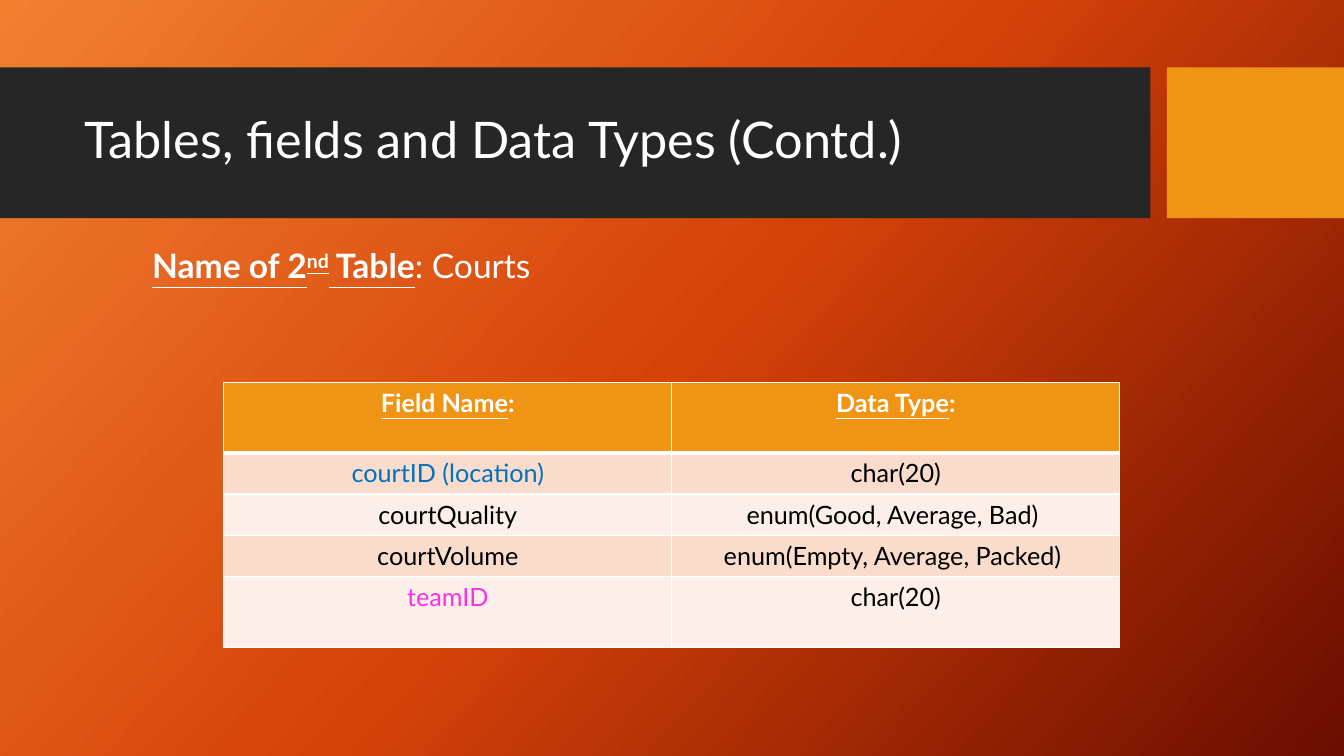
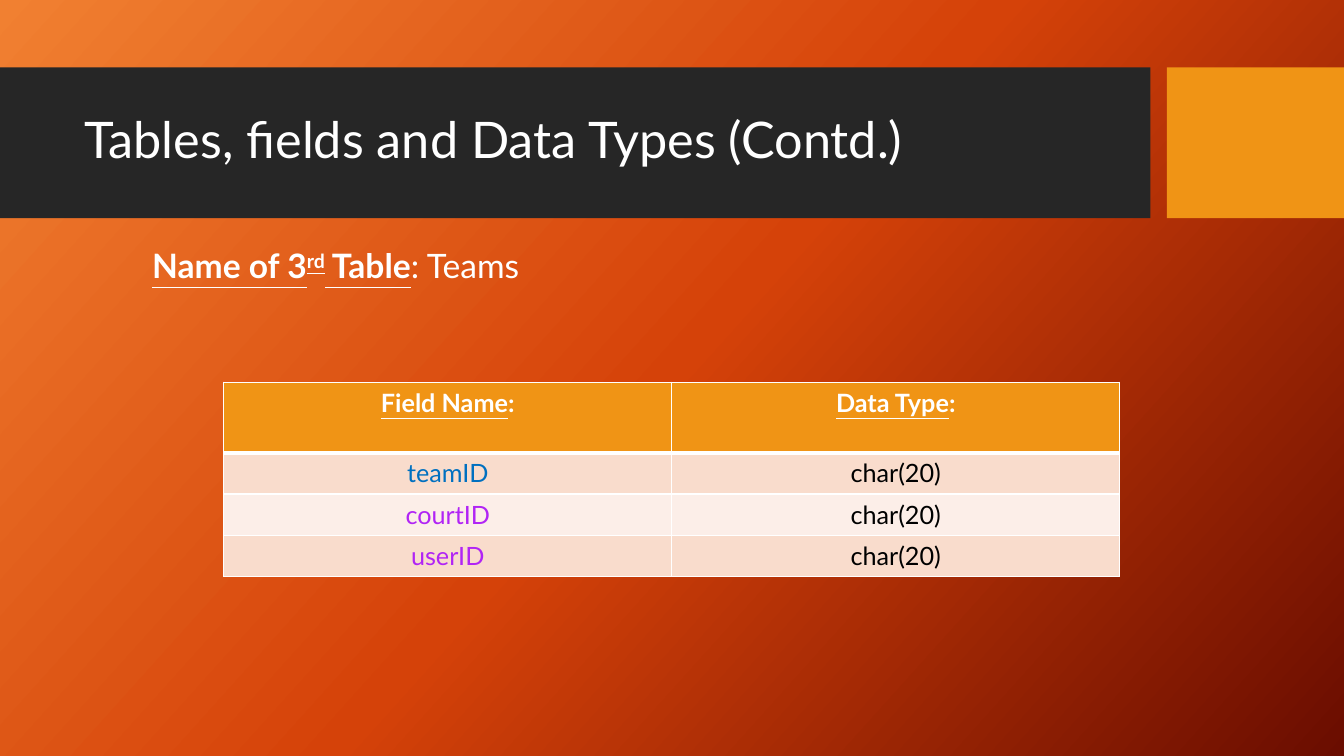
from collections import namedtuple
from copy import deepcopy

from lxml.etree import SubElement
from pptx import Presentation
from pptx.dml.color import RGBColor
from pptx.enum.shapes import MSO_SHAPE
from pptx.enum.text import MSO_ANCHOR, PP_ALIGN
from pptx.oxml.ns import qn
from pptx.util import Cm, Pt

WHITE = RGBColor(0xFF, 0xFF, 0xFF)
BLACK = RGBColor(0x00, 0x00, 0x00)
CHARCOAL = RGBColor(0x26, 0x26, 0x26)
AMBER = RGBColor(0xF0, 0x94, 0x15)
BAND_FILLS = (RGBColor(0xF9, 0xDC, 0xCC), RGBColor(0xFC, 0xEE, 0xE8))
KEY_BLUE = RGBColor(0x00, 0x70, 0xC0)
LINK_PINK = RGBColor(0xFB, 0x31, 0xE6)
LINK_PURPLE = RGBColor(0xB1, 0x24, 0xF5)
BACKGROUND_STOPS = (
    (0, RGBColor(0xF1, 0x80, 0x31)),
    (0.5, RGBColor(0xD5, 0x42, 0x09)),
    (1, RGBColor(0x6A, 0x0D, 0x00)),
)
FONT = "Lato"
TITLE = "Tables, fields and Data Types (Contd.)"

Box = namedtuple("Box", "left top width height")
HEADER_BOX = Box(Cm(0), Cm(1.7), Cm(33.87), Cm(3.8))
CAPTION_BOX = Box(Cm(3.58), Cm(6.17), Cm(26.7), Cm(2.18))
TABLE_BOX = Box(Cm(5.64), Cm(9.63), Cm(22.58), Cm(6.68))
ROW_HEIGHT = Cm(1.04)
TALL_ROW_HEIGHT = Cm(1.78)

TABLES = (
    {
        "number": "2", "ordinal": "nd", "name": "Courts", "tall_last_row": True,
        "fields": (
            ("courtID (location)", KEY_BLUE, "char(20)"),
            ("courtQuality", BLACK, "enum(Good, Average, Bad) "),
            ("courtVolume", BLACK, "enum(Empty, Average, Packed) "),
            ("teamID", LINK_PINK, "char(20)"),
        ),
    },
    {
        "number": "3", "ordinal": "rd", "name": "Teams", "tall_last_row": False,
        "fields": (
            ("teamID", KEY_BLUE, "char(20)"),
            ("courtID", LINK_PURPLE, "char(20)"),
            ("userID", LINK_PURPLE, "char(20)"),
        ),
    },
)


def add_text(paragraph, text, size=18, color=WHITE, bold=False, underline=False, raised=False):
    """Append one formatted run to a paragraph."""
    run = paragraph.add_run()
    run.text = text
    font = run.font
    font.name, font.size, font.bold, font.underline = FONT, Pt(size), bold, underline
    font.color.rgb = color
    if raised:
        run._r.get_or_add_rPr().set("baseline", "30000")


def place(shape, box):
    """Move a shape into a box."""
    shape.left, shape.top, shape.width, shape.height = box


def paint_background(layout):
    """Give the layout its diagonal three-colour gradient."""
    fill = layout.background.fill
    fill.gradient()
    fill.gradient_angle = 318
    stop_list = layout.element.find(".//" + qn("a:gsLst"))
    stop_list.append(deepcopy(stop_list[-1]))
    for stop, (position, color) in zip(fill.gradient_stops, BACKGROUND_STOPS):
        stop.position = position
        stop.color.rgb = color


def add_header_bands(slide, box):
    """Draw the title band and accent block, and move them to the layout."""
    accent_width, gap = Cm(4.46), Cm(0.42)
    band_width = box.width - accent_width - gap
    bands = (
        (box.left, band_width, CHARCOAL),
        (box.left + band_width + gap, accent_width, AMBER),
    )
    layout_tree = slide.slide_layout.shapes.element
    for left, width, color in bands:
        band = slide.shapes.add_shape(MSO_SHAPE.RECTANGLE, left, box.top, width, box.height)
        band.shadow.inherit = False
        band.fill.solid()
        band.fill.fore_color.rgb = color
        band.line.fill.background()
        layout_tree.insert(2, band.element)


def fill_title(slide, box):
    """Write the title inside the header band."""
    title = slide.shapes.title
    place(title, Box(box.left + Cm(1.88), box.top + Cm(0.38), Cm(26.7), Cm(3)))
    title.text_frame.vertical_anchor = MSO_ANCHOR.MIDDLE
    paragraph = title.text_frame.paragraphs[0]
    paragraph.alignment = PP_ALIGN.LEFT
    paragraph.line_spacing = 0.9
    add_text(paragraph, TITLE, size=36)


def fill_caption(slide, box, number, ordinal, name):
    """Write which table the slide describes."""
    caption = slide.placeholders[1]
    place(caption, box)
    paragraph = caption.text_frame.paragraphs[0]
    paragraph.line_spacing = 0.9
    paragraph.space_before = Pt(10)
    properties = paragraph._p.get_or_add_pPr()
    properties.set("marL", "0")
    properties.set("indent", "0")
    SubElement(properties, qn("a:buNone"))
    heading = {"size": 24, "bold": True, "underline": True}
    add_text(paragraph, f"Name of {number}", **heading)
    add_text(paragraph, ordinal, raised=True, **heading)
    add_text(paragraph, " Table", **heading)
    add_text(paragraph, f": {name}", size=24)


def format_cell(cell, color, top_width=1, bottom_width=1):
    """Set a cell's white borders, fill and centring."""
    properties = cell._tc.get_or_add_tcPr()
    for side, width in (("L", 1), ("R", 1), ("T", top_width), ("B", bottom_width)):
        line = SubElement(properties, qn(f"a:ln{side}"), w=str(Pt(width)))
        line_fill = SubElement(line, qn("a:solidFill"))
        SubElement(line_fill, qn("a:srgbClr"), val=str(WHITE))
    cell.fill.solid()
    cell.fill.fore_color.rgb = color
    cell.text_frame.paragraphs[0].alignment = PP_ALIGN.CENTER


def add_field_table(slide, box, fields, tall_last_row):
    """Draw the table of field names and data types."""
    table = slide.shapes.add_table(len(fields) + 1, 2, *box).table
    for column in table.columns:
        column.width = box.width // 2
    for row in table.rows:
        row.height = ROW_HEIGHT
    table.rows[0].height = TALL_ROW_HEIGHT
    if tall_last_row:
        table.rows[len(fields)].height = TALL_ROW_HEIGHT
    for cell, heading in zip(table.rows[0].cells, ("Field Name", "Data Type")):
        format_cell(cell, AMBER, bottom_width=3)
        paragraph = cell.text_frame.paragraphs[0]
        add_text(paragraph, heading, bold=True, underline=True)
        add_text(paragraph, ":", bold=True)
    for index, (name, name_color, data_type) in enumerate(fields):
        cells = table.rows[index + 1].cells
        for cell, text, color in zip(cells, (name, data_type), (name_color, BLACK)):
            format_cell(cell, BAND_FILLS[index % 2], top_width=1 if index else 3)
            add_text(cell.text_frame.paragraphs[0], text, color=color)


def add_table_slide(presentation, layout, number, ordinal, name, fields, tall_last_row):
    """Add a slide that describes one database table."""
    slide = presentation.slides.add_slide(layout)
    fill_title(slide, HEADER_BOX)
    fill_caption(slide, CAPTION_BOX, number, ordinal, name)
    height = TALL_ROW_HEIGHT + ROW_HEIGHT * len(fields)
    if tall_last_row:
        height += TALL_ROW_HEIGHT - ROW_HEIGHT
    add_field_table(slide, TABLE_BOX._replace(height=height), fields, tall_last_row)
    return slide


def main():
    """Build and save the presentation."""
    presentation = Presentation()
    presentation.slide_width, presentation.slide_height = Cm(33.87), Cm(19.05)
    layout = presentation.slide_layouts[1]
    paint_background(layout)
    slides = [add_table_slide(presentation, layout, **table) for table in TABLES]
    add_header_bands(slides[0], HEADER_BOX)
    presentation.save("out.pptx")


main()
